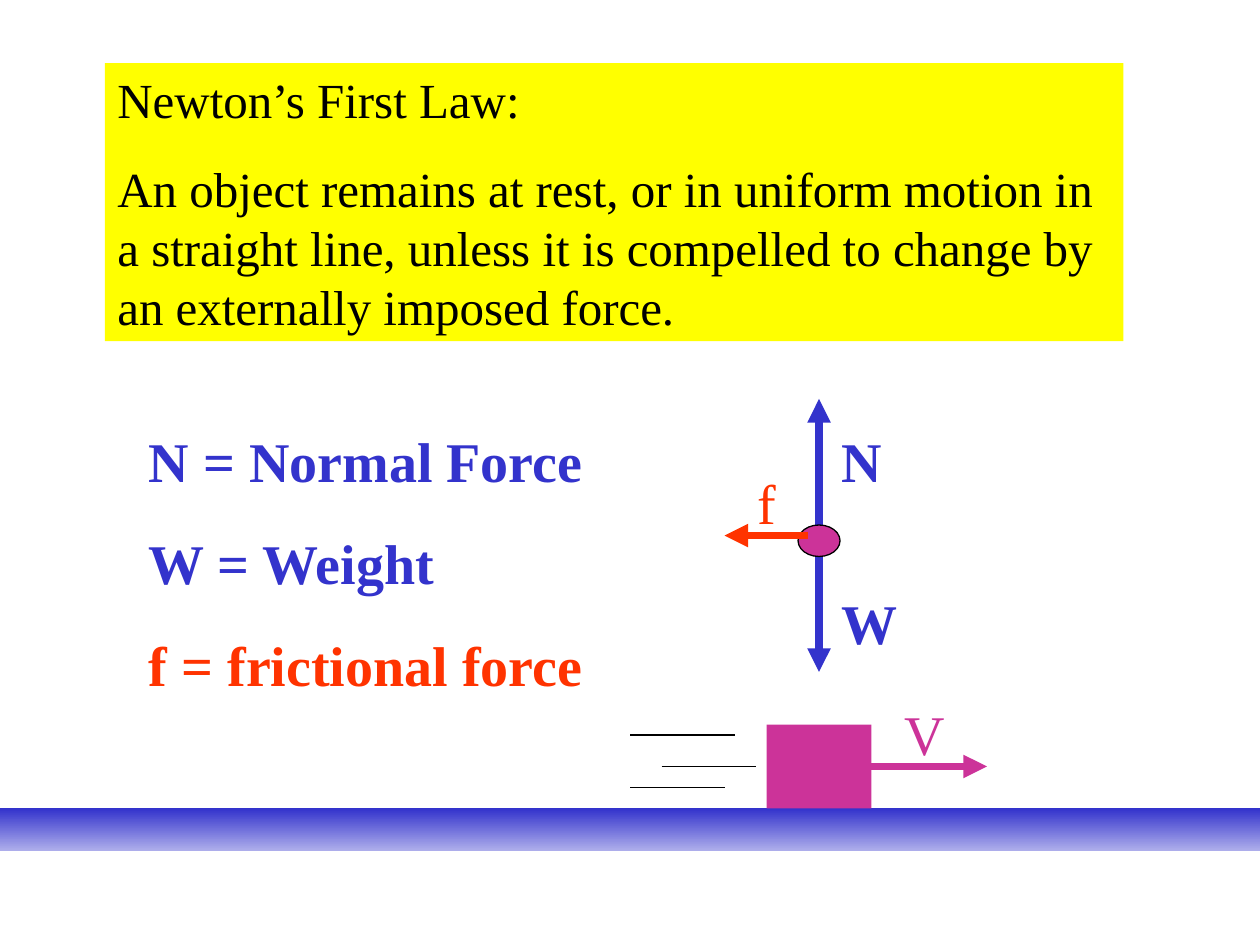
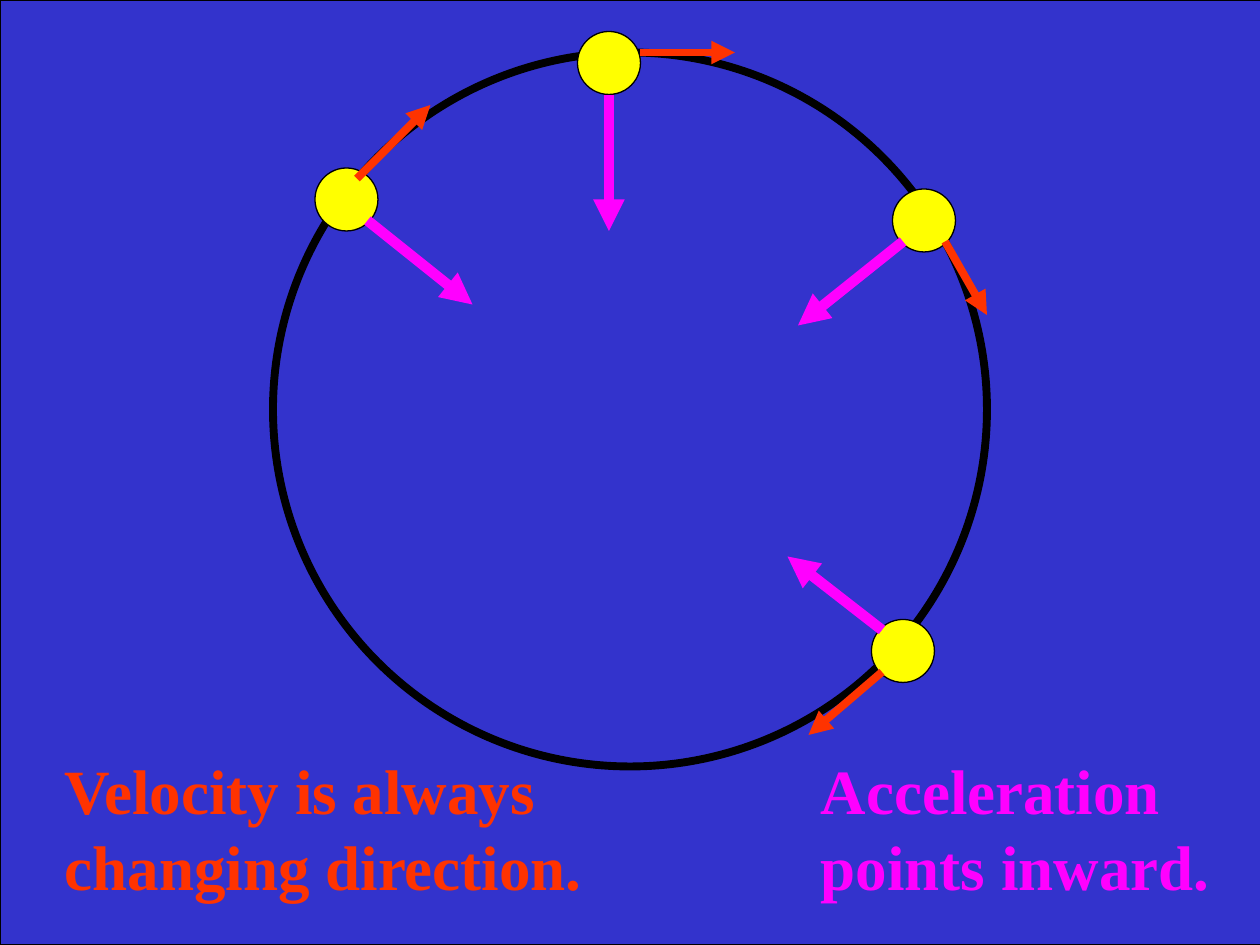
import dataclasses

import pptx
import pptx.dml.color
import pptx.enum.shapes
import pptx.enum.text
import pptx.oxml
import pptx.oxml.ns
import pptx.slide
import pptx.util

# Shared look: the slide is a grid of 120 columns by 90 rows
COLUMNS, ROWS = 120, 90
CELL = pptx.util.Inches(10) // COLUMNS
FONT = "Times New Roman"
BLUE, PALE_BLUE, RED = "3333CC", "ADADEB", "FF3300"
YELLOW, PINK, MAGENTA, BLACK = "FFFF00", "CC3399", "FF00FF", "000000"
THIN, THICK, HEAVY = 0.75, 4.5, 6
RECTANGLE = pptx.enum.shapes.MSO_SHAPE.RECTANGLE
OVAL = pptx.enum.shapes.MSO_SHAPE.OVAL


def color(code):
    return pptx.dml.color.RGBColor.from_string(code)


def add_xml(parent, tag, attributes=""):
    namespace = pptx.oxml.ns.nsdecls("a")
    parent.append(pptx.oxml.parse_xml(f"<a:{tag} {namespace} {attributes}/>"))


def write(shape, lines, size, codes, bold):
    """Fill a shape with left-aligned paragraphs, one colour for each."""
    frame = shape.text_frame
    frame.word_wrap = True
    frame.auto_size = pptx.enum.text.MSO_AUTO_SIZE.SHAPE_TO_FIT_TEXT
    frame.vertical_anchor = pptx.enum.text.MSO_ANCHOR.TOP
    frame.text = "\n".join(lines)
    for para, code in zip(frame.paragraphs, codes):
        para.alignment = pptx.enum.text.PP_ALIGN.LEFT
        para.space_before = pptx.util.Pt(size * 0.625)
        for span in para.runs:
            span.font.name = FONT
            span.font.size = pptx.util.Pt(size)
            span.font.bold = bold
            span.font.color.rgb = color(code)


@dataclasses.dataclass
class Region:
    """A box of grid cells; its parts are placed from its top left corner."""
    page: pptx.slide.Slide
    left: float
    top: float
    width: float
    height: float

    def place(self, x, y):
        return round((self.left + x) * CELL), round((self.top + y) * CELL)

    def shape(self, kind, x, y, width, height, fill=None, line=None, weight=THIN):
        shape = self.page.shapes.add_shape(
            kind, *self.place(x, y), round(width * CELL), round(height * CELL))
        shape.shadow.inherit = False
        if fill:
            shape.fill.solid()
            shape.fill.fore_color.rgb = color(fill)
        else:
            shape.fill.background()
        if line:
            shape.line.color.rgb = color(line)
            shape.line.width = pptx.util.Pt(weight)
        else:
            shape.line.fill.background()
        return shape

    def line(self, start, end, code=BLACK, weight=THIN):
        connector = self.page.shapes.add_connector(
            pptx.enum.shapes.MSO_CONNECTOR.STRAIGHT,
            *self.place(*start), *self.place(*end))
        connector.line.color.rgb = color(code)
        connector.line.width = pptx.util.Pt(weight)
        add_xml(connector._element.spPr, "effectLst")
        return connector

    def arrow(self, start, end, code, weight=THICK):
        connector = self.line(start, end, code, weight)
        add_xml(connector.line._get_or_add_ln(), "tailEnd", 'type="triangle"')
        return connector

    def text(self, x, y, width, height, lines, size, codes, bold=True):
        box = self.page.shapes.add_textbox(
            *self.place(x, y), round(width * CELL), round(height * CELL))
        write(box, lines, size, codes, bold)


# First slide: forces on a sliding block
def law_panel(region):
    panel = region.shape(RECTANGLE, 0, 0, region.width, region.height, YELLOW)
    lines = [
        "Newton’s First Law:",
        "An object remains at rest, or in uniform motion in a straight line, "
        "unless it is compelled to change by an externally imposed force.",
    ]
    write(panel, lines, 28, [BLACK] * 2, False)


def ground(region):
    band = region.shape(RECTANGLE, 0, 0, region.width, region.height, BLUE)
    band.fill.gradient()
    band.fill.gradient_angle = 270
    for stop, code in zip(band.fill.gradient_stops, (BLUE, PALE_BLUE)):
        stop.color.rgb = color(code)


def force_diagram(region):
    center_x, center_y = 9, region.height / 2
    for tip_y in (region.height, 0):
        region.arrow((center_x, center_y), (center_x, tip_y), BLUE)
    region.shape(OVAL, center_x - 2, center_y - 1, 4, 3, PINK, BLACK)
    region.arrow((center_x - 1, center_y), (0, center_y), RED)
    for name, x, y, width, code, bold in (
            ("N", 10, 2, 11, BLUE, True),
            ("W", 10, 17.5, 11, BLUE, True),
            ("f", 2, 6, 8, RED, False)):
        region.text(x, y, width, 7.7, [name], 32, [code], bold)


def moving_block(region):
    block = region.shape(RECTANGLE, 13, 3, 10, 8, PINK)
    # Speed lines behind the block
    for start_x, end_x, y in ((0, 10, 4), (3, 12, 7), (0, 9, 9)):
        region.line((start_x, y), (end_x, y))
    velocity = region.arrow((23, 7), (region.width, 7), PINK)
    velocity.begin_connect(block, 3)
    region.text(25, 0, 8, 7.7, ["V"], 32, [PINK], False)


def legend(region):
    lines = ["N = Normal Force", "W = Weight", "f = frictional force"]
    region.text(0, 0, region.width, region.height, lines, 32, [BLUE, BLUE, RED])


def first_law_slide(page):
    law_panel(Region(page, 10, 6, 97, 26.5))
    ground(Region(page, 0, 77, COLUMNS, 4))
    force_diagram(Region(page, 69, 38, 21, 26))
    moving_block(Region(page, 60, 66, 34, 11))
    legend(Region(page, 13, 40, 47, 27.1))


# Second slide: motion around a circle
# Ball centre, then start (from the centre) and reach of each of its arrows
BALLS = (
    ((7, 14), ((2, 2), (10, 8)), ((1, -2), (7, -7))),
    ((32, 1), ((0, 3), (0, 13)), ((3, -1), (9, 0))),
    ((62, 16), ((-2, 2), (-10, 8)), ((2, 2), (4, 7))),
    ((60, 57), ((-2, -2), (-9, -7)), ((-2, 2), (-7, 6))),
)


def shift(point, step):
    return point[0] + step[0], point[1] + step[1]


def orbit(region):
    radius = 3
    region.shape(OVAL, 0, 0, region.width, region.height, None, BLACK, THICK)
    for center, acceleration, velocity in BALLS:
        region.shape(OVAL, *shift(center, (-radius, -radius)),
                     2 * radius, 2 * radius, YELLOW, BLACK)
        for (offset, reach), code, weight in (
                (acceleration, MAGENTA, HEAVY), (velocity, RED, THICK)):
            start = shift(center, offset)
            region.arrow(start, shift(start, reach), code, weight)


def caption(region, words, code):
    region.text(0, 0, region.width, region.height, [words], 36, [code])


def circular_motion_slide(page):
    Region(page, 0, 0, COLUMNS, ROWS).shape(
        RECTANGLE, 0, 0, COLUMNS + 3, ROWS, BLUE, BLACK)
    orbit(Region(page, 26, 5, 68, 68))
    caption(Region(page, 77, 71, 43, 15.6), "Acceleration points inward.", MAGENTA)
    caption(Region(page, 5, 71, 57, 15.6), "Velocity is always changing direction.", RED)


def main():
    deck = pptx.Presentation()
    deck.slide_width, deck.slide_height = COLUMNS * CELL, ROWS * CELL
    for build in (first_law_slide, circular_motion_slide):
        build(deck.slides.add_slide(deck.slide_layouts[6]))
    deck.save("out.pptx")


if __name__ == "__main__":
    main()
